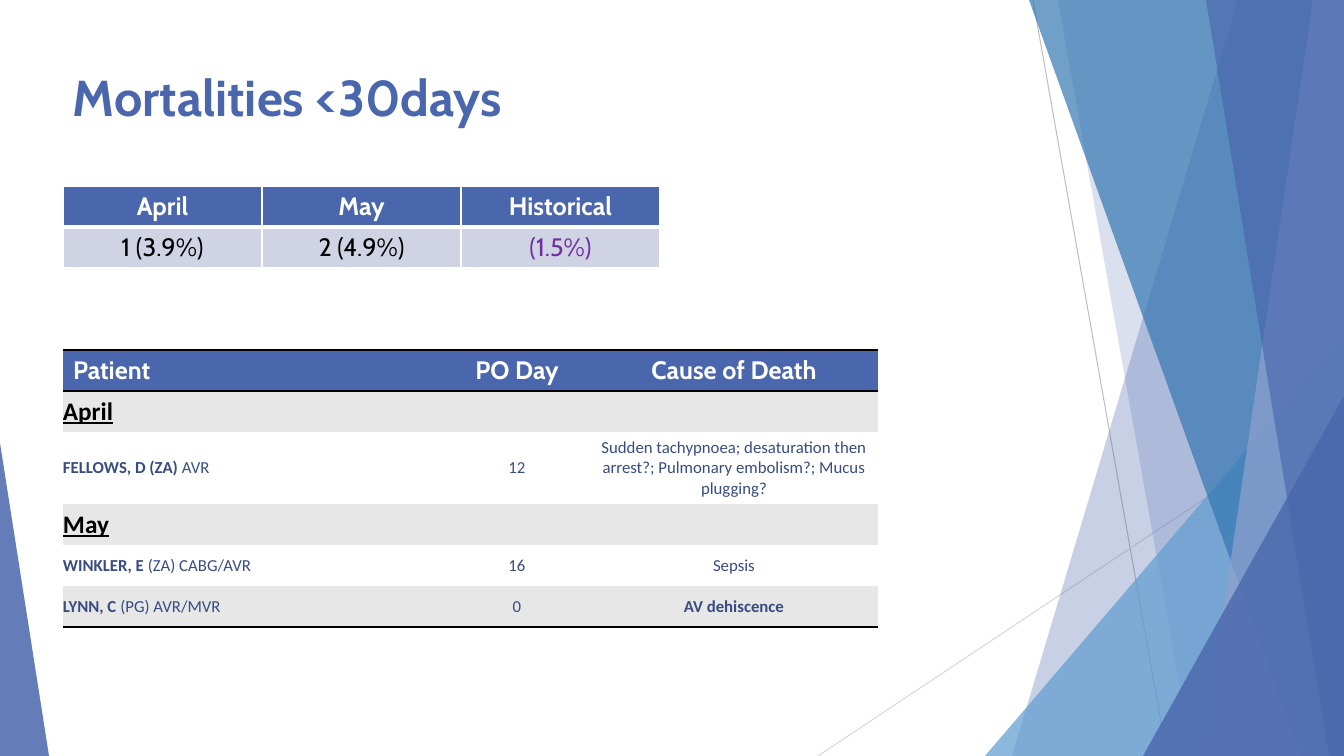
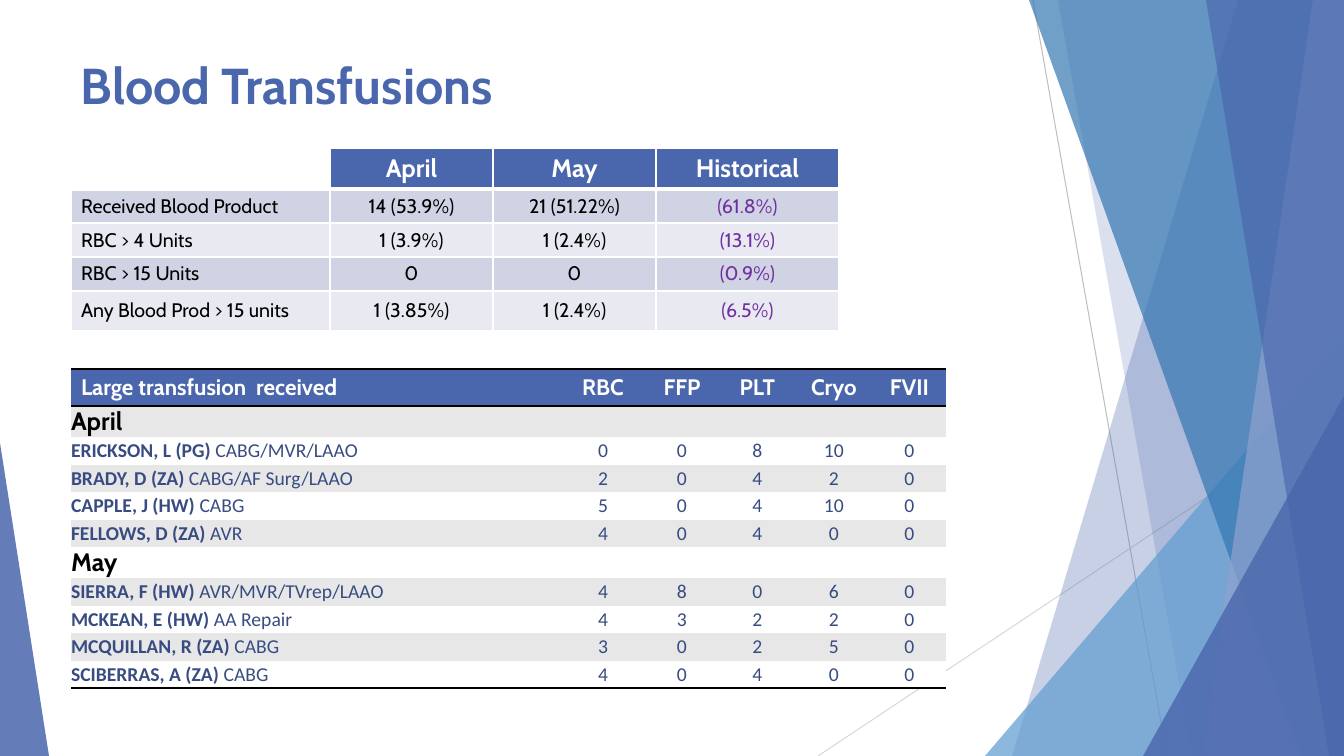
from dataclasses import dataclass

from lxml.etree import SubElement
from pptx import Presentation
from pptx.dml.color import RGBColor
from pptx.enum.shapes import MSO_CONNECTOR as CONNECTOR, MSO_SHAPE as SHAPE
from pptx.enum.text import MSO_ANCHOR as ANCHOR, PP_ALIGN as ALIGN
from pptx.oxml import parse_xml
from pptx.oxml.ns import nsdecls, qn
from pptx.util import Pt

PX = 9071  # EMU in one px
WIDTH, HEIGHT = 1344, 756


@dataclass(frozen=True)
class Theme:
    blue: str = "4A66AC"
    sky: str = "629DD1"
    teal: str = "3477B2"
    haze: str = "90A2CF"
    navy: str = "384C81"
    purple: str = "7030A0"
    black: str = "000000"
    white: str = "FFFFFF"
    grey: str = "E7E7E7"
    rays: tuple = ("BFBFBF", "D9D9D9")
    summary_bands: tuple = ("D0D3E3", "E9EAF1")
    patient_bands: tuple = ("E7E7E7", "FFFFFF")
    heading_font: str = "Cabin"
    body_font: str = "Calibri"
    title: int = 36
    header: int = 18
    small_header: int = 16
    body: int = 14
    small: int = 12


theme = Theme()


def write(frame, text, size=theme.header, color=theme.black, font=theme.heading_font,
          bold=False, underline=False, align=ALIGN.LEFT):
    """Write one paragraph; the part before a bar is bold."""
    paragraph = frame.paragraphs[0]
    paragraph.alignment = align
    lead, _, rest = text.rpartition("|")
    for part, weight in ((lead, True), (rest, bold)):
        if part:
            run = paragraph.add_run()
            run.text = part
            run.font.size = Pt(size)
            run.font.name = font
            run.font.bold = weight
            run.font.underline = underline
            run.font.color.rgb = RGBColor.from_string(color)


def paint(cell, fill, edge_color, edges):
    """Fill a cell and draw its edges, given as side: points in L, R, T, B order."""
    if fill:
        cell.fill.solid()
        cell.fill.fore_color.rgb = RGBColor.from_string(fill)
    else:
        cell.fill.background()
    for place, (side, points) in enumerate(edges.items()):
        cell._tc.get_or_add_tcPr().insert(place, parse_xml(
            f'<a:ln{side} {nsdecls("a")} w="{Pt(points)}"><a:solidFill>'
            f'<a:srgbClr val="{edge_color}"/></a:solidFill></a:ln{side}>'))


deck = Presentation()
deck.slide_width, deck.slide_height = WIDTH * PX, HEIGHT * PX

# Shared backdrop: thin rays, then see-through bands
rays = [(1033, 0, 1167, HEIGHT), (WIDTH, 406, 818, HEIGHT)]
# A band has its top and bottom x; a triangle has left, top, width and apex
bands = [
    (theme.blue, 30, (1238, 1012)),
    (theme.blue, 20, (1058, 1192)),
    (theme.sky, 72, (985, 336, 359, 1)),
    (theme.teal, 70, (1029, 1301)),
    (theme.haze, 70, (1313, 1202)),
    (theme.blue, 65, (1206, 1329)),
    (theme.blue, 80, (1143, 396, 201, 1)),
    (theme.blue, 85, (0, 443, 49, 0)),
]
titles = [("Mortalities <30days", 63, 61, 920, 84),
          ("Blood Transfusions", 71, 49, 948, 71)]

slides = []
for title, left, top, width, height in titles:
    slide = deck.slides.add_slide(deck.slide_layouts[6])
    slides.append(slide)

    for color, ends in zip(theme.rays, rays):
        ray = slide.shapes.add_connector(CONNECTOR.STRAIGHT, *(n * PX for n in ends))
        ray.line.color.rgb = RGBColor.from_string(color)
        ray.line.width = Pt(0.75)
        SubElement(ray._element.spPr, qn("a:effectLst"))

    for color, opacity, outline in bands:
        if len(outline) == 2:
            head, foot = outline
            builder = slide.shapes.build_freeform(head, 0, scale=PX)
            builder.add_line_segments([(WIDTH, 0), (WIDTH, HEIGHT), (foot, HEIGHT)])
            band = builder.convert_to_shape()
        else:
            x, y, span, apex = outline
            band = slide.shapes.add_shape(SHAPE.ISOSCELES_TRIANGLE, x * PX, y * PX,
                                          span * PX, (HEIGHT - y) * PX)
            band.adjustments[0] = apex
        band.shadow.inherit = False
        band.line.fill.background()
        band.fill.solid()
        band.fill.fore_color.rgb = RGBColor.from_string(color)
        tint = band._element.spPr.find(qn("a:solidFill"))[0]
        SubElement(tint, qn("a:alpha"), val=str(opacity * 1000))

    heading = slide.shapes.add_textbox(left * PX, top * PX, width * PX, height * PX)
    heading.text_frame.word_wrap = True
    write(heading.text_frame, title, size=theme.title, color=theme.blue, bold=True)

mortalities, transfusions = slides

# Tables: the first row is the header, a row of one entry is a month
summary = dict(bands=theme.summary_bands, edge=theme.white, flush=False,
               header_edges=dict(L=1, R=1, T=1, B=3), body_edges=dict(L=1, R=1, B=1),
               last_edges=dict(L=1, R=1, B=1), header_size=theme.header,
               text=dict(size=theme.body), month={})
patients = dict(bands=theme.patient_bands, edge=theme.black, flush=True,
                header_edges=dict(T=2, B=2), body_edges={}, last_edges=dict(B=2),
                header_size=theme.header,
                text=dict(size=theme.small, color=theme.navy, font=theme.body_font),
                month=dict(bold=True, font=theme.body_font, underline=True))

tables = [
    (mortalities, 63, 186, [199] * 3, [41] * 2,
     summary | dict(text=dict(size=theme.header)),
     [("April", "May", "Historical"),
      ("1 (3.9%)", "2 (4.9%)", "(1.5%)")]),
    (mortalities, 63, 350, [381, 146, 288], [41, 41, 72, 41, 41, 41], patients,
     [("Patient", "PO Day", "Cause of Death"),
      ("April",),
      ("FELLOWS, D (ZA) |AVR", "12", "Sudden tachypnoea; desaturation then arrest?; "
                                     "Pulmonary embolism?; Mucus plugging?"),
      ("May",),
      ("WINKLER, E |(ZA) CABG/AVR", "16", "Sepsis"),
      ("LYNN, C |(PG) AVR/MVR", "0", "AV dehiscence|")]),
    (transfusions, 71, 148, [259, 163, 163, 183], [41, 34, 34, 34, 40], summary,
     [("", "April", "May", "Historical"),
      ("Received Blood Product", "14 (53.9%)", "21 (51.22%)", "(61.8%)"),
      ("RBC > 4 Units", "1 (3.9%)", "1 (2.4%)", "(13.1%)"),
      ("RBC > 15 Units", "0", "0", "(0.9%)"),
      ("Any Blood Prod > 15 units", "1 (3.85%)", "1 (2.4%)", "(6.5%)")]),
    (transfusions, 71, 369, [491, 82, 76, 75, 78, 73], [37] + [31, 28, 27, 28, 27] * 2,
     patients | dict(header_size=theme.small_header, month=dict(bold=True),
                     text=patients["text"] | dict(size=theme.body)),
     [("Large transfusion  received", "RBC", "FFP", "PLT", "Cryo", "FVII"),
      ("April",),
      ("ERICKSON, L (PG) |CABG/MVR/LAAO", "0", "0", "8", "10", "0"),
      ("BRADY, D (ZA) |CABG/AF Surg/LAAO", "2", "0", "4", "2", "0"),
      ("CAPPLE, J (HW) |CABG", "5", "0", "4", "10", "0"),
      ("FELLOWS, D (ZA) |AVR", "4", "0", "4", "0", "0"),
      ("May",),
      ("SIERRA, F (HW) |AVR/MVR/TVrep/LAAO", "4", "8", "0", "6", "0"),
      ("MCKEAN, E (HW)| AA Repair", "4", "3", "2", "2", "0"),
      ("MCQUILLAN, R (ZA)| CABG", "3", "0", "2", "5", "0"),
      ("SCIBERRAS, A (ZA)| CABG", "4", "0", "4", "0", "0")]),
]

for slide, left, top, widths, heights, style, rows in tables:
    table = slide.shapes.add_table(len(rows), len(widths), left * PX, top * PX,
                                   sum(widths) * PX, sum(heights) * PX).table
    # Plain table style without a grid
    table._tbl.tblPr.find(qn("a:tableStyleId")).text = "{2D5ABB26-0587-4C30-8999-92F81FD0307C}"
    table.horz_banding = False
    for column, width in zip(table.columns, widths):
        column.width = width * PX
    for row, height in zip(table.rows, heights):
        row.height = height * PX

    for r, entries in enumerate(rows):
        is_header, is_month = r == 0, len(entries) == 1
        if is_header:
            edges = style["header_edges"]
        else:
            edges = style["last_edges"] if r == len(rows) - 1 else style["body_edges"]
        for c in range(len(widths)):
            cell = table.cell(r, c)
            cell.vertical_anchor = ANCHOR.MIDDLE
            if style["flush"] and not is_header:
                cell.margin_left = cell.margin_right = cell.margin_top = cell.margin_bottom = 0
            fill = theme.blue if is_header else style["bands"][(r - 1) % 2]
            if is_header and not entries[c]:
                fill = None
            paint(cell, fill, style["edge"], edges)
            if c >= len(entries):
                continue

            if is_header:
                look = dict(size=style["header_size"], color=theme.white, bold=True)
            elif is_month:
                look = style["month"]
            else:
                look = style["text"]
                if rows[0][c] == "Historical":
                    look = look | dict(color=theme.purple)
            labels_left = c == 0 and rows[0][0] != "April"
            write(cell.text_frame, entries[c],
                  align=ALIGN.LEFT if labels_left else ALIGN.CENTER, **look)
        if is_month:
            table.cell(r, 0).merge(table.cell(r, len(widths) - 1))

deck.save("out.pptx")
